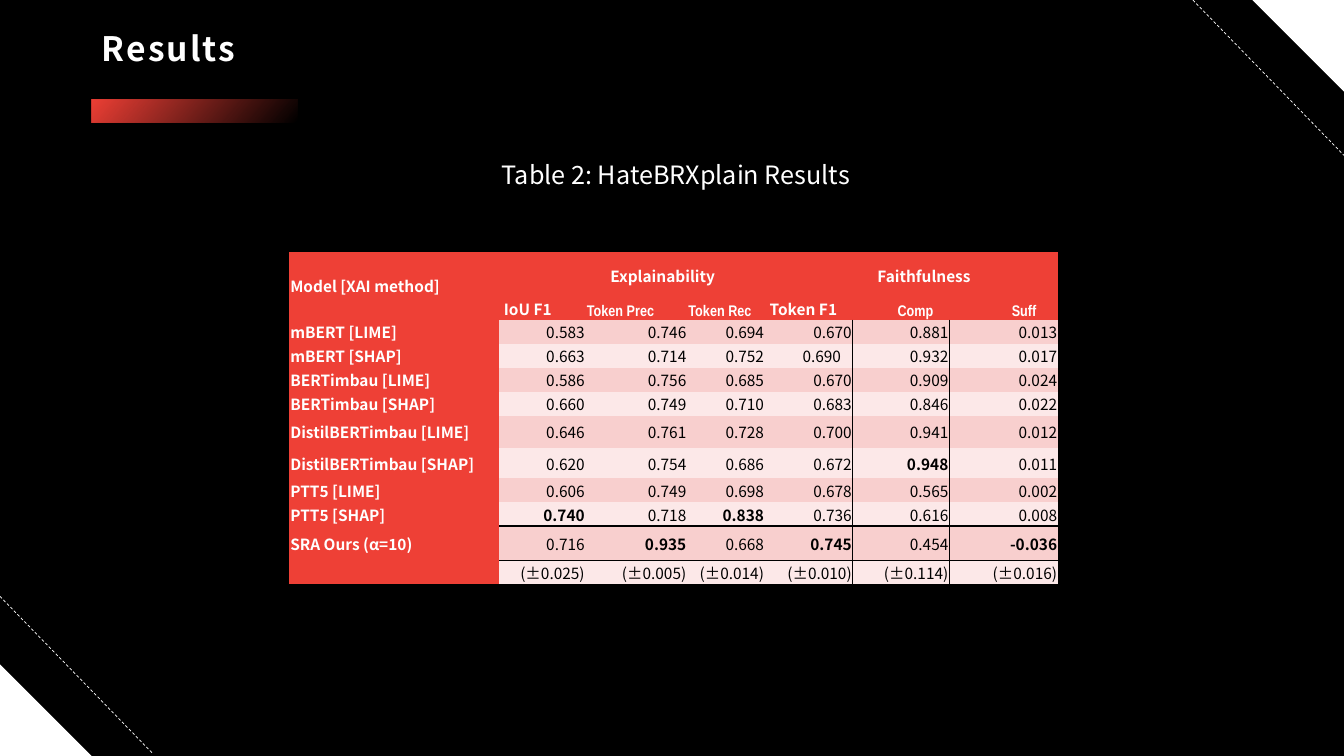
from dataclasses import dataclass

from lxml.etree import SubElement
from pptx import Presentation
from pptx.dml.color import RGBColor
from pptx.enum.dml import MSO_LINE
from pptx.enum.shapes import MSO_CONNECTOR, MSO_SHAPE
from pptx.enum.text import MSO_ANCHOR, MSO_AUTO_SIZE, PP_ALIGN
from pptx.oxml.ns import qn
from pptx.util import Inches, Pt


@dataclass(frozen=True)
class Theme:
    background: str = "000000"
    light: str = "FFFFFF"
    dark: str = "000000"
    accent: str = "EE4036"
    bands: tuple = ("F8CFCE", "FCE8E8")
    title_font: str = "Noto Sans CJK TC"
    body_font: str = "Noto Sans CJK JP"
    narrow_font: str = "Arial Narrow"
    title_size: int = 24
    caption_size: int = 18
    table_size: int = 11
    no_table_style: str = "{2D5ABB26-0587-4C30-8999-92F81FD0307C}"


COLUMNS, ROWS = 160, 90
MODEL_HEADING = "Model [XAI method]"
METRICS = [
    ("mBERT [LIME]", "0.583 0.746 0.694 0.670 0.881 0.013"),
    ("mBERT [SHAP]", "0.663 0.714 0.752 0.690 0.932 0.017"),
    ("BERTimbau [LIME]", "0.586 0.756 0.685 0.670 0.909 0.024"),
    ("BERTimbau [SHAP]", "0.660 0.749 0.710 0.683 0.846 0.022"),
    ("DistilBERTimbau [LIME]", "0.646 0.761 0.728 0.700 0.941 0.012"),
    ("DistilBERTimbau [SHAP]", "0.620 0.754 0.686 0.672 0.948 0.011"),
    ("PTT5 [LIME]", "0.606 0.749 0.698 0.678 0.565 0.002"),
    ("PTT5 [SHAP]", "0.740 0.718 0.838 0.736 0.616 0.008"),
    ("SRA Ours (α=10)", "0.716 0.935 0.668 0.745 0.454 -0.036"),
]
DEVIATIONS = "(±0.025) (±0.005) (±0.014) (±0.010) (±0.114) (±0.016)"
COLUMN_WIDTHS = [25, 10.3, 12.1, 9.25, 10.45, 11.5, 12.95]
ROW_HEIGHTS = [8.04] + [2.86] * 4 + [3.84, 3.6, 2.86, 2.86, 4.08, 2.86]
OWN_MODEL_ROW = len(METRICS)
FAITHFULNESS_COLUMN = 5


class SlideBuilder:
    def __init__(self, theme):
        self.theme = theme
        self.presentation = Presentation()
        self.presentation.slide_width = Inches(13.33)
        self.presentation.slide_height = Inches(7.5)
        self.slide = self.presentation.slides.add_slide(self.presentation.slide_layouts[5])
        self.paint(self.slide.background.fill, theme.background)

    def x(self, columns):
        return round(self.presentation.slide_width * columns / COLUMNS)

    def y(self, rows):
        return round(self.presentation.slide_height * rows / ROWS)

    def box(self, left, top, width, height):
        return self.x(left), self.y(top), self.x(width), self.y(height)

    def paint(self, fill, color):
        fill.solid()
        fill.fore_color.rgb = RGBColor.from_string(color)

    def style(self, paragraph, size, color, bold=False, font=None):
        for run in paragraph.runs:
            run.font.name = font or self.theme.body_font
            run.font.size = Pt(size)
            run.font.bold = bold
            run.font.color.rgb = RGBColor.from_string(color)

    def title(self, text, *area):
        heading = self.slide.shapes.title
        heading.left, heading.top, heading.width, heading.height = self.box(*area)
        frame = heading.text_frame
        frame.text = text
        frame.auto_size = MSO_AUTO_SIZE.NONE
        frame.vertical_anchor = MSO_ANCHOR.MIDDLE
        line = frame.paragraphs[0]
        line.alignment = PP_ALIGN.LEFT
        line.line_spacing = 0.9
        self.style(line, self.theme.title_size, self.theme.light, True, self.theme.title_font)
        line.runs[0].font._element.set("spc", "150")

    def caption(self, text, *area):
        frame = self.slide.shapes.add_textbox(*self.box(*area)).text_frame
        frame.word_wrap = True
        frame.auto_size = MSO_AUTO_SIZE.SHAPE_TO_FIT_TEXT
        frame.text = text
        self.style(frame.paragraphs[0], self.theme.caption_size, self.theme.light)

    def shape(self, preset, *area, rotation=0):
        figure = self.slide.shapes.add_shape(preset, *self.box(*area))
        figure.shadow.inherit = False
        figure.line.fill.background()
        figure.rotation = rotation
        return figure

    def corner(self, *area, rotation=0):
        triangle = self.shape(MSO_SHAPE.RIGHT_TRIANGLE, *area, rotation=rotation)
        self.paint(triangle.fill, self.theme.light)

    def fading_bar(self, *area):
        bar = self.shape(MSO_SHAPE.RECTANGLE, *area)
        bar.fill.gradient()
        bar.fill.gradient_angle = 320
        for stop, position in zip(bar.fill.gradient_stops, (0, 0.99)):
            stop.color.rgb = RGBColor.from_string(self.theme.accent)
            stop.position = position
        end_color = bar._element.spPr.findall(".//" + qn("a:srgbClr"))[-1]
        SubElement(end_color, qn("a:alpha"), val="0")

    def dashed_line(self, left, top, right, bottom):
        line = self.slide.shapes.add_connector(
            MSO_CONNECTOR.STRAIGHT, self.x(left), self.y(top), self.x(right), self.y(bottom))
        line.line.color.rgb = RGBColor.from_string(self.theme.light)
        line.line.width = Pt(0.5)
        line.line.dash_style = MSO_LINE.DASH
        SubElement(line._element.spPr, qn("a:effectLst"))

    def table(self, left, top, widths, heights):
        frame = self.slide.shapes.add_table(
            len(heights), len(widths), *self.box(left, top, sum(widths), sum(heights)))
        grid = frame.table
        grid._tbl.tblPr.find(qn("a:tableStyleId")).text = self.theme.no_table_style
        grid.first_row = grid.horz_banding = False
        for column, width in zip(grid.columns, widths):
            column.width = self.x(width)
        for row, height in zip(grid.rows, heights):
            row.height = self.y(height)
        return grid

    def cell(self, cell, text, fill, color, bold=True, anchor=MSO_ANCHOR.MIDDLE,
             alignment=PP_ALIGN.LEFT, left=0.12, right=0.12, bottom=0, edges=""):
        cell.text = text
        cell.vertical_anchor = anchor
        cell.margin_left, cell.margin_right = self.x(left), self.x(right)
        cell.margin_top, cell.margin_bottom = self.y(0.12), self.y(bottom)
        self.paint(cell.fill, fill)
        line = cell.text_frame.paragraphs[0]
        line.alignment = alignment
        self.style(line, self.theme.table_size, color, bold)
        if not text:
            SubElement(line._p, qn("a:endParaRPr"), sz=str(self.theme.table_size * 100))
        properties = cell._tc.get_or_add_tcPr()
        for index, edge in enumerate(edge for edge in "LRTB" if edge in edges):
            border = SubElement(properties, qn("a:ln" + edge), w=str(Pt(1)))
            SubElement(SubElement(border, qn("a:solidFill")), qn("a:srgbClr"), val=self.theme.dark)
            properties.insert(index, border)

    def group_heading(self, grid, column, heading, measures, tabs):
        cell = grid.cell(0, column)
        cell.merge(grid.cell(0, column + 1))
        self.cell(cell, heading, self.theme.accent, self.theme.light, anchor=MSO_ANCHOR.BOTTOM)
        group = cell.text_frame.paragraphs[0]
        group.space_after = Pt(13)
        group._p.get_or_add_pPr().set("marL", str(self.x(2.8)))
        names = cell.text_frame.add_paragraph()
        names.text = measures
        stops = SubElement(names._p.get_or_add_pPr(), qn("a:tabLst"))
        for tab in tabs:
            SubElement(stops, qn("a:tab"), pos=str(self.x(tab)), algn="l")
        self.style(names, self.theme.table_size, self.theme.light, True, self.theme.narrow_font)

    def results(self, left, top):
        theme = self.theme
        grid = self.table(left, top, COLUMN_WIDTHS, ROW_HEIGHTS)
        for column, heading, indent, lift in (
                (0, MODEL_HEADING, 0.12, 2.7), (1, "IoU F1", 0.55, 0), (4, "Token F1", 0.55, 0)):
            self.cell(grid.cell(0, column), heading, theme.accent, theme.light,
                      anchor=MSO_ANCHOR.BOTTOM, left=indent, bottom=lift)
        self.group_heading(grid, 2, "Explainability", "Token Prec\tToken Rec", [12.1])
        self.group_heading(grid, FAITHFULNESS_COLUMN, "Faithfulness", "\tComp\tSuff", [5.2, 18.8])

        scores = [values.split() for _, values in METRICS]
        *highest, sufficiency = zip(*scores)
        best = [max(column, key=float) for column in highest] + [min(sufficiency, key=float)]
        models = [model for model, _ in METRICS] + [""]
        for row, (model, values) in enumerate(zip(models, scores + [DEVIATIONS.split()]), 1):
            self.cell(grid.cell(row, 0), model, theme.accent, theme.light)
            anchor = MSO_ANCHOR.MIDDLE if model else MSO_ANCHOR.BOTTOM
            rule = {OWN_MODEL_ROW - 1: "B", OWN_MODEL_ROW: "T"}.get(row, "")
            for column, value in enumerate(values, 1):
                divider = {FAITHFULNESS_COLUMN - 1: "R", FAITHFULNESS_COLUMN: "L"}.get(column, "")
                self.cell(grid.cell(row, column), value, theme.bands[(row - 1) % 2], theme.dark,
                          bold=value == best[column - 1], anchor=anchor,
                          alignment=PP_ALIGN.RIGHT, edges=rule + divider,
                          right=1.4 if (row, column) == (2, 4) else 0.12)


def main():
    builder = SlideBuilder(Theme())
    builder.corner(0, 79.08, 10.92, 10.92)
    builder.corner(149.08, 0, 10.92, 10.92, rotation=180)
    builder.dashed_line(0, 71, 18.24, 89.76)
    builder.dashed_line(142, 0, 160, 18.5)
    builder.fading_bar(10.95, 11.8, 24.5, 2.8)
    builder.title("Results", 10.92, 2.16, 138.12, 7.68)
    builder.caption("Table 2: HateBRXplain Results", 58.56, 18.36, 63.84, 4.8)
    builder.results(34.44, 30)
    builder.presentation.save("out.pptx")


if __name__ == "__main__":
    main()
